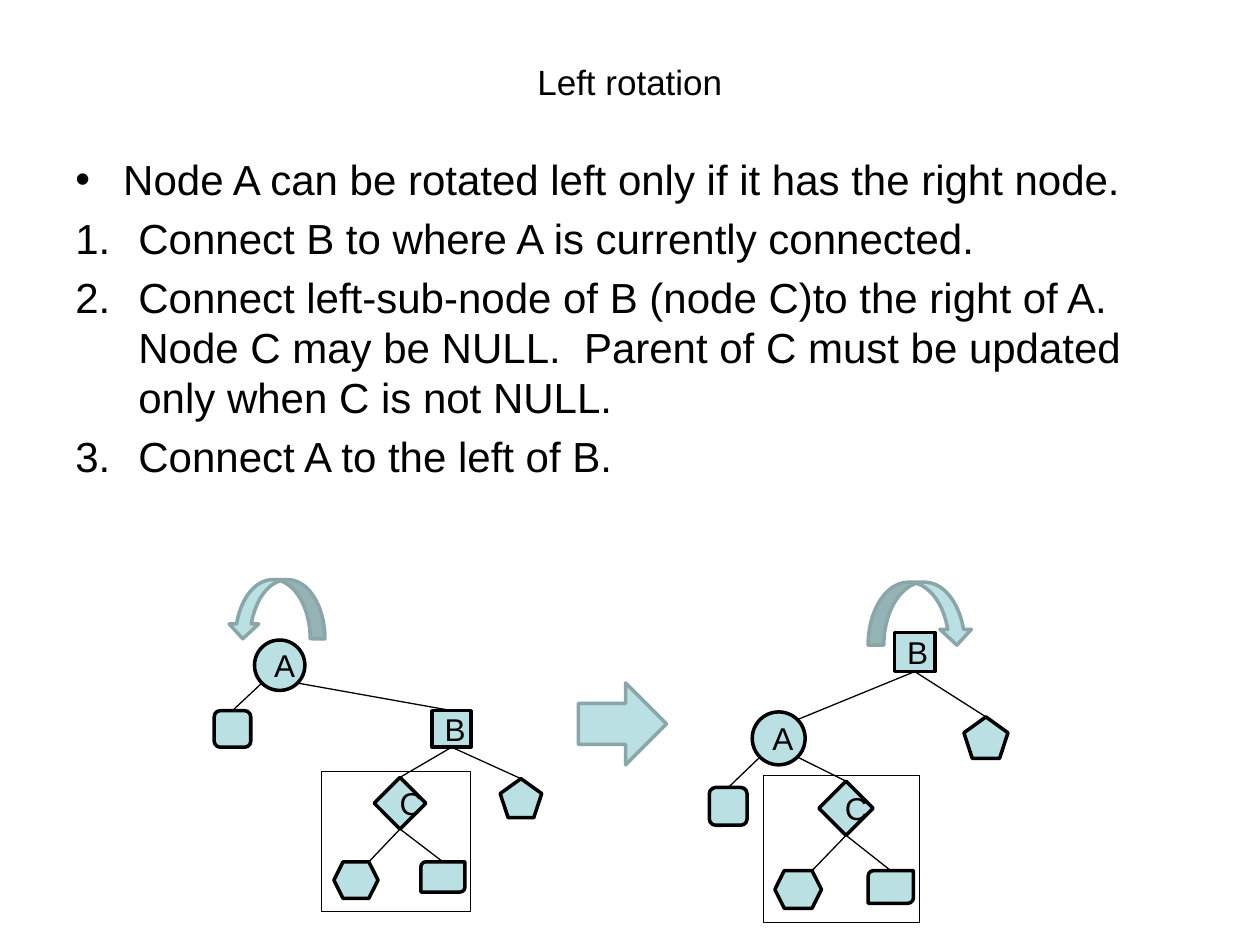
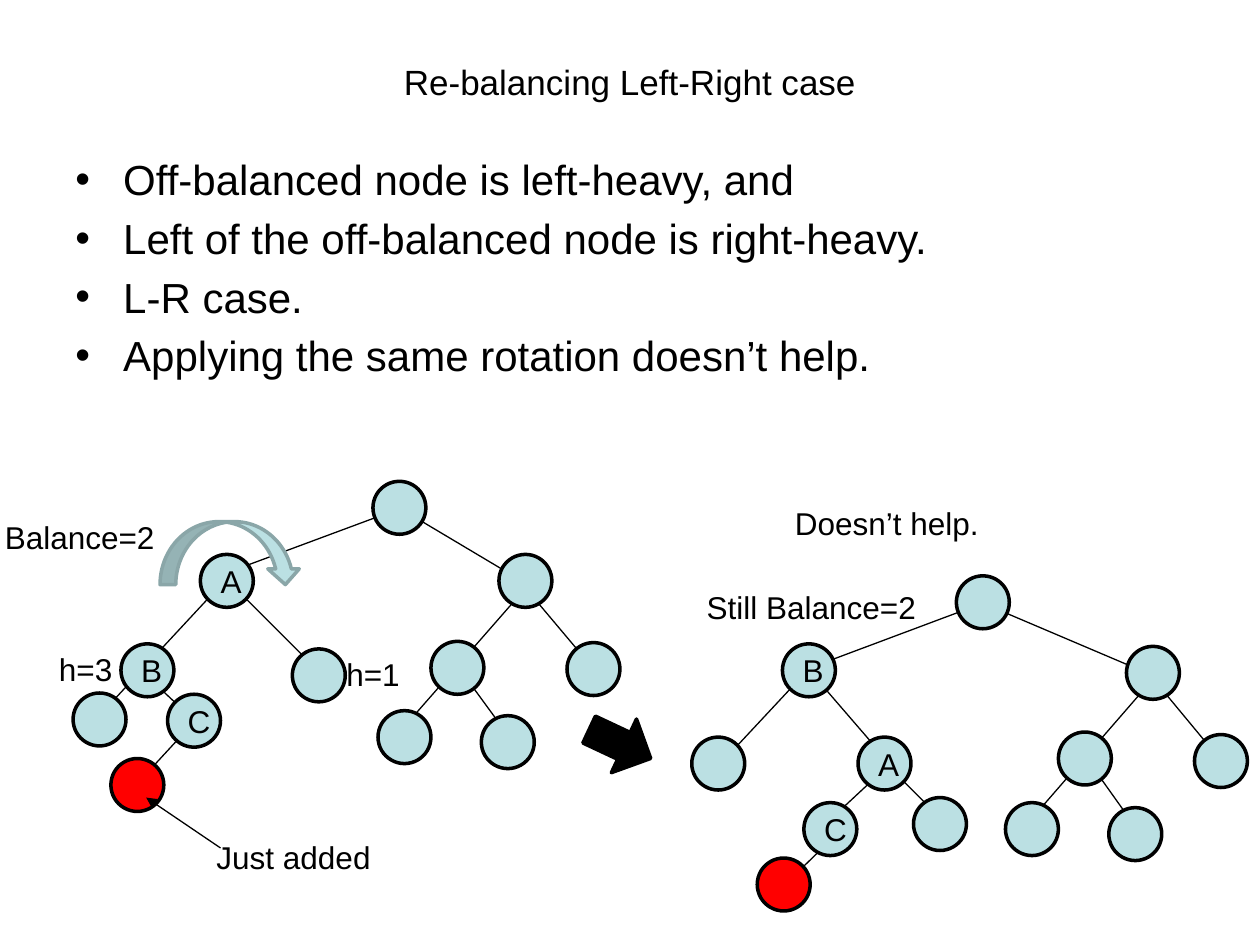
import pptx
import pptx.dml.color
import pptx.enum.shapes
import pptx.enum.text
import pptx.oxml.ns
import pptx.util
from lxml import etree

RGB = pptx.dml.color.RGBColor
KIND = pptx.enum.shapes.MSO_SHAPE
ALIGN = pptx.enum.text.PP_ALIGN
ANCHOR = pptx.enum.text.MSO_ANCHOR

PX = 9144  # 100 px to the inch
FONT = "Arial"
BLACK = RGB(0x00, 0x00, 0x00)
AQUA = RGB(0xBB, 0xE0, 0xE3)
ARROW_EDGE = RGB(0x8A, 0xA6, 0xA8)
RED = RGB(0xFF, 0x00, 0x00)
TITLE_BOX = (50, 30, 900, 70)
BODY_BOX = (50, 117, 900, 553)
NODE = 42  # diameter of a tree node

# Text: each body line is (list style, wording)
ROTATION_TITLE = "Left rotation"
ROTATION_LINES = [
    ("bullet", "Node A can be rotated left only if it has the right node."),
    ("number", "Connect B to where A is currently connected."),
    ("number", "Connect left-sub-node of B (node C)to the right of A.  Node C may be NULL.  "
               "Parent of C must be updated only when C is not NULL."),
    ("number", "Connect A to the left of B."),
]
CASE_TITLE = "Re-balancing Left-Right case"
CASE_LINES = [
    ("bullet", "Off-balanced node is left-heavy, and"),
    ("bullet", "Left of the off-balanced node is right-heavy."),
    ("bullet", "L-R case."),
    ("bullet", "Applying the same rotation doesn’t help."),
]

# Rotation trees: nodes, edges between node sides, frame of the moved subtree, turning arrow
SUBTREE_KINDS = {
    "A": KIND.OVAL, "B": KIND.RECTANGLE, "C": KIND.DIAMOND,
    "left": KIND.ROUNDED_RECTANGLE, "right": KIND.REGULAR_PENTAGON,
    "C left": KIND.HEXAGON, "C right": KIND.ROUND_2_DIAG_RECTANGLE,
}
SHARED_EDGES = [
    ("A", "bottom left", "left", "top"), ("B", "bottom", "right", "top"),
    ("C", "bottom", "C left", "top right"), ("C", "bottom", "C right", "top"),
]
ROTATION_TREES = [
    {
        "nodes": {"A": (202, 508, 40, 40), "B": (343, 564, 31, 29), "left": (170, 564, 29, 29),
                  "C": (297, 617, 41, 41), "right": (397, 618, 33, 31),
                  "C left": (265, 684, 35, 29), "C right": (334, 684, 35, 24)},
        "edges": [("A", "bottom right", "B", "top"), ("B", "bottom", "C", "top")],
        "frame": (255, 612, 118, 111), "turn": (181, 460, 77, 47), "mirrored": True,
    },
    {
        "nodes": {"A": (597, 565, 42, 42), "B": (710, 502, 32, 31), "left": (563, 625, 30, 30),
                  "C": (650, 620, 43, 43), "right": (765, 569, 35, 33),
                  "C left": (615, 691, 37, 30), "C right": (689, 691, 36, 26)},
        "edges": [("A", "top right", "B", "bottom"), ("A", "bottom right", "C", "top")],
        "frame": (606, 615, 124, 117), "turn": (689, 462, 83, 50), "mirrored": False,
    },
]
BECOMES_ARROW = (459, 542, 70, 65)

# Left-Right case: nodes (left, top, label), edges (x1, y1, x2, y2), notes (left, top, width, text)
CASE_NODES = [
    (58, 550, ""), (159, 440, "A"), (300, 564, ""), (342, 509, ""), (382, 568, ""),
    (296, 382, ""), (396, 440, ""), (96, 511, "B"), (133, 551, "C"), (232, 515, ""), (450, 510, ""),
    (549, 585, ""), (798, 637, ""), (840, 581, ""), (880, 641, ""), (759, 457, ""),
    (894, 513, ""), (621, 511, "B"), (725, 633, ""), (948, 583, ""), (681, 585, "A"), (638, 637, "C"),
]
ADDED_NODES = [(88, 602, ""), (601, 681, "")]
CASE_EDGES = [
    (119, 611, 154, 573), (179, 455, 319, 403), (181, 458, 76, 571), (250, 530, 185, 465),
    (417, 467, 318, 580), (405, 586, 367, 534), (483, 545, 414, 463), (320, 405, 414, 461),
    (116, 536, 149, 567),
    (571, 607, 627, 547), (643, 530, 782, 478), (644, 534, 707, 607), (743, 646, 707, 610),
    (915, 539, 816, 653), (903, 659, 866, 607), (981, 618, 913, 536), (783, 480, 917, 537),
    (697, 615, 668, 642), (621, 704, 660, 666),
]
CASE_NOTES = [
    (265, 515, 63, "h=1"), (37, 511, 63, "h=3"), (-6, 406, 140, "Balance=2"),
    (551, 462, 188, "Still Balance=2"), (162, 660, 144, "Just added"),
]
VERDICT = (621, 395, 300, "Doesn’t help.")
CASE_TURN = (127, 414, 112, 50)
CASE_ARROW = (465, 567, 54, 47)
CASE_ARROW_ANGLE = 25.1
ADDED_POINTER = (175, 673, 116, 633)

SITES = {"top": 0, "left": 1, "bottom": 2, "right": 3}
JOINED_KINDS = (KIND.RECTANGLE, KIND.ROUNDED_RECTANGLE, KIND.DIAMOND)


def emu(lengths):
    return [round(length * PX) for length in lengths]


def style(paragraph, size):
    paragraph.font.name = FONT
    paragraph.font.size = pptx.util.Pt(size)
    paragraph.font.color.rgb = BLACK


def add_text(slide, box, text, size, wrap=True):
    textbox = slide.shapes.add_textbox(*emu(box))
    frame = textbox.text_frame
    frame.word_wrap = wrap
    frame.text = text
    style(frame.paragraphs[0], size)
    return frame


def add_note(slide, left, top, width, text, wrap=False):
    frame = add_text(slide, (left, top, width, 40), text, 18, wrap)
    frame.auto_size = pptx.enum.text.MSO_AUTO_SIZE.SHAPE_TO_FIT_TEXT


def set_marker(paragraph, marker):
    """Hang the paragraph behind a bullet or an automatic number."""
    hang = 38 if marker == "bullet" else 50
    properties = paragraph._p.get_or_add_pPr()
    properties.set("marL", str(hang * PX))
    properties.set("indent", str(-hang * PX))
    if marker == "bullet":
        etree.SubElement(properties, pptx.oxml.ns.qn("a:buFont"), typeface=FONT)
        etree.SubElement(properties, pptx.oxml.ns.qn("a:buChar"), char="•")
    else:
        etree.SubElement(properties, pptx.oxml.ns.qn("a:buAutoNum"), type="arabicPeriod")


def add_page(deck, title, lines):
    slide = deck.slides.add_slide(deck.slide_layouts[6])
    heading = add_text(slide, TITLE_BOX, title, 20)
    heading.vertical_anchor = ANCHOR.MIDDLE
    heading.paragraphs[0].alignment = ALIGN.CENTER
    body = add_text(slide, BODY_BOX, "\n".join(text for _, text in lines), 24)
    for paragraph, (marker, _) in zip(body.paragraphs, lines):
        style(paragraph, 24)
        paragraph.space_before = pptx.util.Pt(4.8)
        set_marker(paragraph, marker)
    return slide


def add_figure(slide, kind, box, label="", fill=AQUA, edge=BLACK, weight=2):
    figure = slide.shapes.add_shape(kind, *emu(box))
    figure.shadow.inherit = False
    if fill is None:
        figure.fill.background()
    else:
        figure.fill.solid()
        figure.fill.fore_color.rgb = fill
    figure.line.color.rgb = edge
    figure.line.width = pptx.util.Pt(weight)
    if label:
        figure.text_frame.text = label
        figure.text_frame.vertical_anchor = ANCHOR.MIDDLE
        paragraph = figure.text_frame.paragraphs[0]
        paragraph.alignment = ALIGN.CENTER
        style(paragraph, 18)
    return figure


def add_turn(slide, box, mirrored=False):
    turn = add_figure(slide, KIND.CURVED_DOWN_ARROW, box, edge=ARROW_EDGE)
    if mirrored:
        turn._element.spPr.xfrm.set("flipH", "1")


def add_edge(slide, points, arrow=False):
    edge = slide.shapes.add_connector(pptx.enum.shapes.MSO_CONNECTOR.STRAIGHT, *emu(points))
    edge.line.color.rgb = BLACK
    edge.line.width = pptx.util.Pt(0.75)
    if arrow:
        etree.SubElement(edge.line._get_or_add_ln(), pptx.oxml.ns.qn("a:tailEnd"), type="triangle")
    etree.SubElement(edge._element.spPr, pptx.oxml.ns.qn("a:effectLst"))
    return edge


def outline_point(kind, box, side):
    """Point on a node's outline at a side's middle or at a corner."""
    left, top, width, height = box
    reach_x = reach_y = 0.5
    if " " in side and kind == KIND.OVAL:
        reach_x = reach_y = 0.5 ** 1.5
    elif " " in side:  # a hexagon's corner lies a quarter of its height inwards
        reach_x = 0.5 - 0.25 * height / width
    across = ("right" in side) - ("left" in side)
    down = ("bottom" in side) - ("top" in side)
    return (left + width * (0.5 + reach_x * across), top + height * (0.5 + reach_y * down))


def draw_rotation_tree(slide, tree):
    boxes = tree["nodes"]
    figures = {
        name: add_figure(slide, SUBTREE_KINDS[name], box, name if len(name) == 1 else "")
        for name, box in boxes.items()
    }
    for start, start_side, end, end_side in SHARED_EDGES + tree["edges"]:
        edge = add_edge(slide, outline_point(SUBTREE_KINDS[start], boxes[start], start_side)
                        + outline_point(SUBTREE_KINDS[end], boxes[end], end_side))
        for name, side, join in ((start, start_side, edge.begin_connect),
                                 (end, end_side, edge.end_connect)):
            if SUBTREE_KINDS[name] in JOINED_KINDS:
                join(figures[name], SITES[side])
    add_figure(slide, KIND.RECTANGLE, tree["frame"], fill=None, weight=0.25)
    add_turn(slide, tree["turn"], tree["mirrored"])


def draw_left_right_case(slide):
    for points in CASE_EDGES:
        add_edge(slide, points)
    for nodes, fill in ((ADDED_NODES, RED), (CASE_NODES, AQUA)):
        for left, top, label in nodes:
            add_figure(slide, KIND.OVAL, (left, top, NODE, NODE), label, fill)
    add_turn(slide, CASE_TURN)
    becomes = add_figure(slide, KIND.RIGHT_ARROW, CASE_ARROW, fill=BLACK)
    becomes.rotation = CASE_ARROW_ANGLE
    add_edge(slide, ADDED_POINTER, arrow=True)
    for note in CASE_NOTES:
        add_note(slide, *note)
    add_note(slide, *VERDICT, wrap=True)


def main():
    deck = pptx.Presentation()
    deck.slide_width, deck.slide_height = emu((1000, 750))

    rotation = add_page(deck, ROTATION_TITLE, ROTATION_LINES)
    for tree in ROTATION_TREES:
        draw_rotation_tree(rotation, tree)
    add_figure(rotation, KIND.RIGHT_ARROW, BECOMES_ARROW, edge=ARROW_EDGE)

    draw_left_right_case(add_page(deck, CASE_TITLE, CASE_LINES))
    deck.save("out.pptx")


if __name__ == "__main__":
    main()
